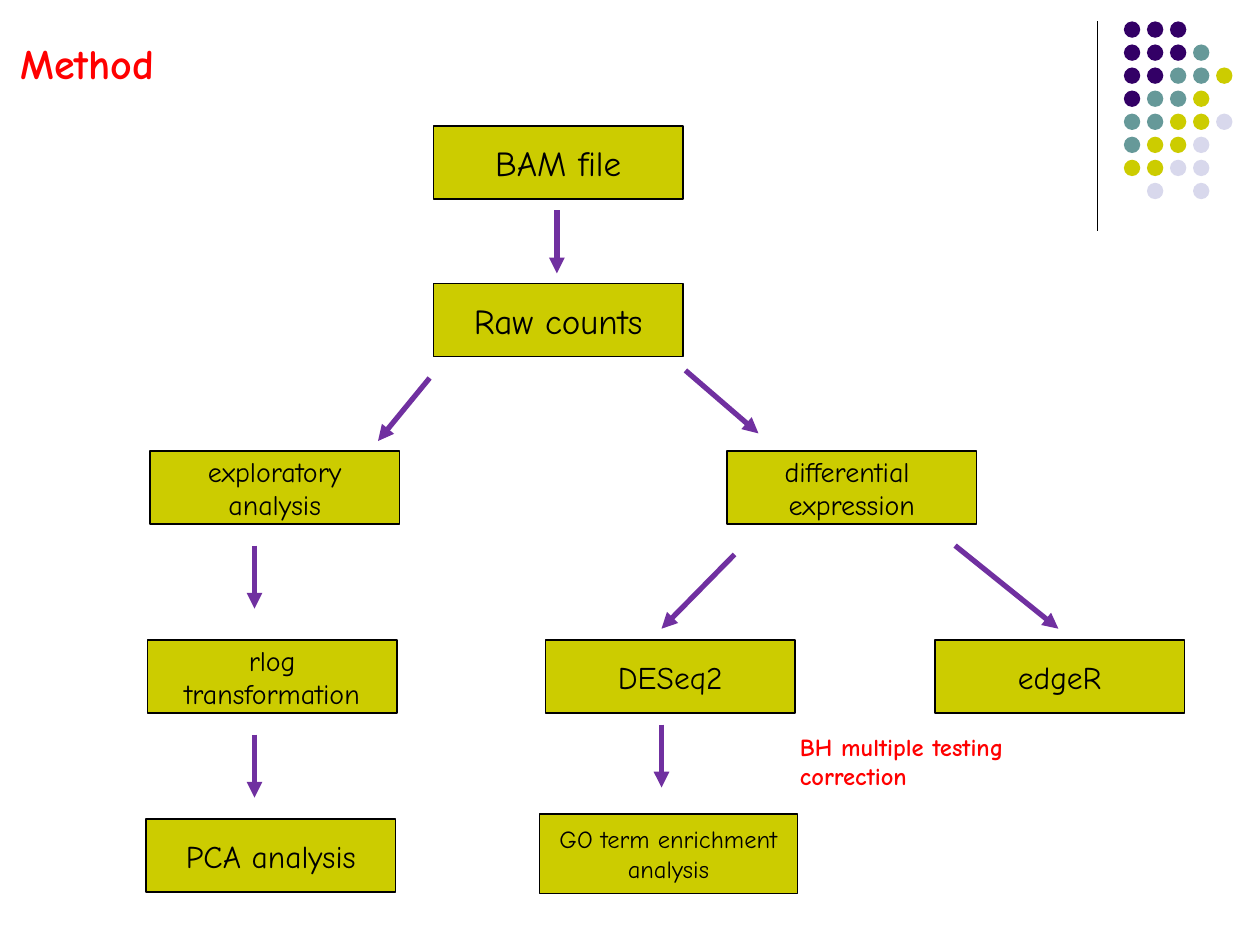
import pptx
import pptx.util
import pptx.dml.color
import pptx.enum.shapes
import pptx.enum.text
import pptx.oxml.ns
from lxml import etree

Inches, Pt = pptx.util.Inches, pptx.util.Pt
RGBColor = pptx.dml.color.RGBColor
MSO_SHAPE = pptx.enum.shapes.MSO_SHAPE
MSO_CONNECTOR = pptx.enum.shapes.MSO_CONNECTOR
MSO_ANCHOR = pptx.enum.text.MSO_ANCHOR
MSO_AUTO_SIZE = pptx.enum.text.MSO_AUTO_SIZE
PP_ALIGN = pptx.enum.text.PP_ALIGN
qn = pptx.oxml.ns.qn

FONT = "Comic Neue"
BLACK = RGBColor(0x00, 0x00, 0x00)
RED = RGBColor(0xFF, 0x00, 0x00)
INDIGO = RGBColor(0x33, 0x00, 0x66)
TEAL = RGBColor(0x66, 0x99, 0x99)
OLIVE = RGBColor(0xCC, 0xCC, 0x00)
LAVENDER = RGBColor(0xD8, 0xD8, 0xEC)
PURPLE = RGBColor(0x70, 0x30, 0xA0)

# Content
TITLE = "Method"
CORRECTION_NOTE = "BH multiple testing correction"
STEP_SIZE = (1.98, 0.58)
ENRICHMENT_SIZE = (2.05, 0.63)

# Steps: paragraphs, left, top, font size, box size
STEPS = [
    (["BAM file"], 3.44, 1.0, 20, STEP_SIZE),
    (["Raw counts"], 3.44, 2.25, 20, STEP_SIZE),
    (["exploratory analysis"], 1.19, 3.58, 16, STEP_SIZE),
    (["rlog transformation"], 1.17, 5.08, 16, STEP_SIZE),
    (["PCA analysis"], 1.16, 6.5, 18, STEP_SIZE),
    (["differential ", "expression"], 5.77, 3.58, 16, STEP_SIZE),
    (["DESeq2"], 4.33, 5.08, 18, STEP_SIZE),
    (["edgeR"], 7.42, 5.08, 18, STEP_SIZE),
    (["GO term enrichment analysis"], 4.28, 6.46, 14, ENRICHMENT_SIZE),
]

# Arrows float in the gaps between steps: start x, y, end x, y
ARROWS = [
    (4.42, 1.67, 4.42, 2.17),
    (3.41, 3.0, 3.0, 3.5),
    (5.44, 2.94, 6.02, 3.44),
    (2.02, 4.33, 2.02, 4.83),
    (2.02, 5.83, 2.02, 6.33),
    (5.83, 4.4, 5.25, 4.99),
    (7.58, 4.33, 8.4, 4.99),
    (5.25, 5.75, 5.25, 6.25),
]

# Corner ornament, one letter per dot
DOT_COLORS = {"I": INDIGO, "T": TEAL, "O": OLIVE, "L": LAVENDER}
DOT_ROWS = ["III", "IIIT", "IITTO", "ITTO", "TTOOL", "TOOL", "OOLL", " L L"]
DOT_LEFT, DOT_TOP, DOT_PITCH, DOT_SIZE = 8.92, 0.17, 0.183, 0.13


def write(frame, paragraphs, size, color, align, anchor, bold=False):
    frame.word_wrap = True
    frame.vertical_anchor = anchor
    for index, text in enumerate(paragraphs):
        paragraph = frame.paragraphs[0] if index == 0 else frame.add_paragraph()
        paragraph.alignment = align
        run = paragraph.add_run()
        run.text = text
        run.font.name = FONT
        run.font.size = Pt(size)
        run.font.bold = bold
        run.font.color.rgb = color


def add_filled(slide, kind, left, top, width, height, color):
    shape = slide.shapes.add_shape(
        kind, Inches(left), Inches(top), Inches(width), Inches(height))
    shape.shadow.inherit = False
    shape.fill.solid()
    shape.fill.fore_color.rgb = color
    return shape


def add_line(slide, x1, y1, x2, y2, color, width, arrow=False):
    line = slide.shapes.add_connector(
        MSO_CONNECTOR.STRAIGHT, Inches(x1), Inches(y1), Inches(x2), Inches(y2))
    line.line.color.rgb = color
    line.line.width = Pt(width)
    if arrow:
        etree.SubElement(line.line._get_or_add_ln(), qn("a:tailEnd"), type="triangle")
    etree.SubElement(line._element.spPr, qn("a:effectLst"))


def main():
    presentation = pptx.Presentation()
    presentation.slide_width = Inches(10)
    presentation.slide_height = Inches(7.5)
    slide = presentation.slides.add_slide(presentation.slide_layouts[5])

    # Corner ornament
    add_line(slide, 8.71, 0.17, 8.71, 1.83, BLACK, 0.75)
    for row, letters in enumerate(DOT_ROWS):
        for column, letter in enumerate(letters):
            if letter in DOT_COLORS:
                dot = add_filled(
                    slide, MSO_SHAPE.OVAL, DOT_LEFT + column * DOT_PITCH,
                    DOT_TOP + row * DOT_PITCH, DOT_SIZE, DOT_SIZE, DOT_COLORS[letter])
                dot.line.fill.background()

    # Title
    title = slide.shapes.title
    title.left, title.top = Inches(0.06), Inches(0.25)
    title.width, title.height = Inches(8.52), Inches(0.5)
    write(title.text_frame, [TITLE], 24, RED, PP_ALIGN.LEFT, MSO_ANCHOR.TOP, bold=True)
    title.text_frame.auto_size = MSO_AUTO_SIZE.SHAPE_TO_FIT_TEXT

    # Flow chart
    for paragraphs, left, top, size, (width, height) in STEPS:
        step = add_filled(
            slide, MSO_SHAPE.FLOWCHART_PROCESS, left, top, width, height, OLIVE)
        step.line.color.rgb = BLACK
        step.line.width = Pt(0.75)
        write(step.text_frame, paragraphs, size, BLACK, PP_ALIGN.CENTER, MSO_ANCHOR.MIDDLE)
    for ends in ARROWS:
        add_line(slide, *ends, PURPLE, 3, arrow=True)

    # Note beside the enrichment branch
    note = slide.shapes.add_textbox(Inches(6.25), Inches(5.76), Inches(1.98), Inches(0.57))
    write(note.text_frame, [CORRECTION_NOTE], 14, RED, PP_ALIGN.LEFT, MSO_ANCHOR.TOP, bold=True)
    note.text_frame.auto_size = MSO_AUTO_SIZE.SHAPE_TO_FIT_TEXT

    presentation.save("out.pptx")


if __name__ == "__main__":
    main()
